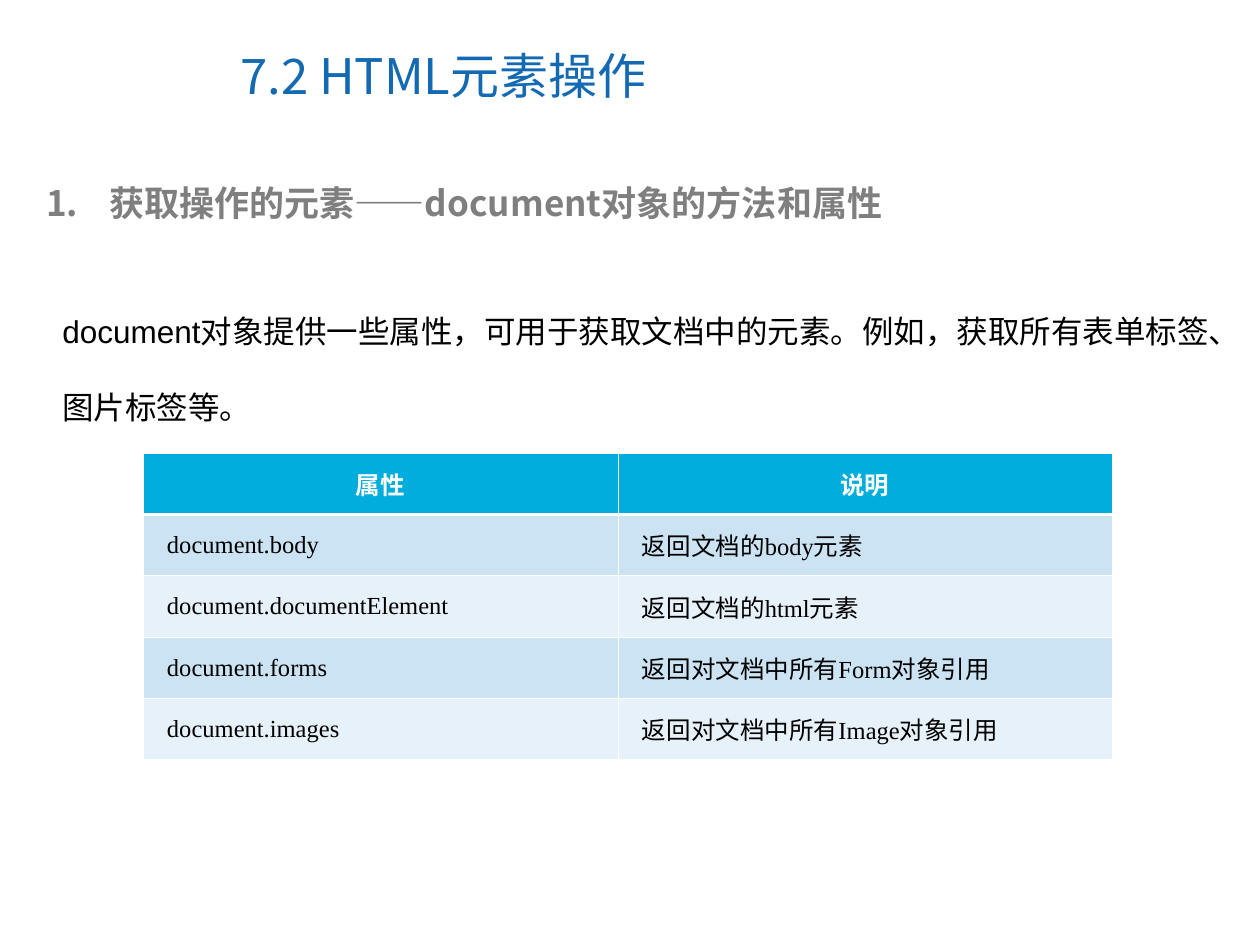
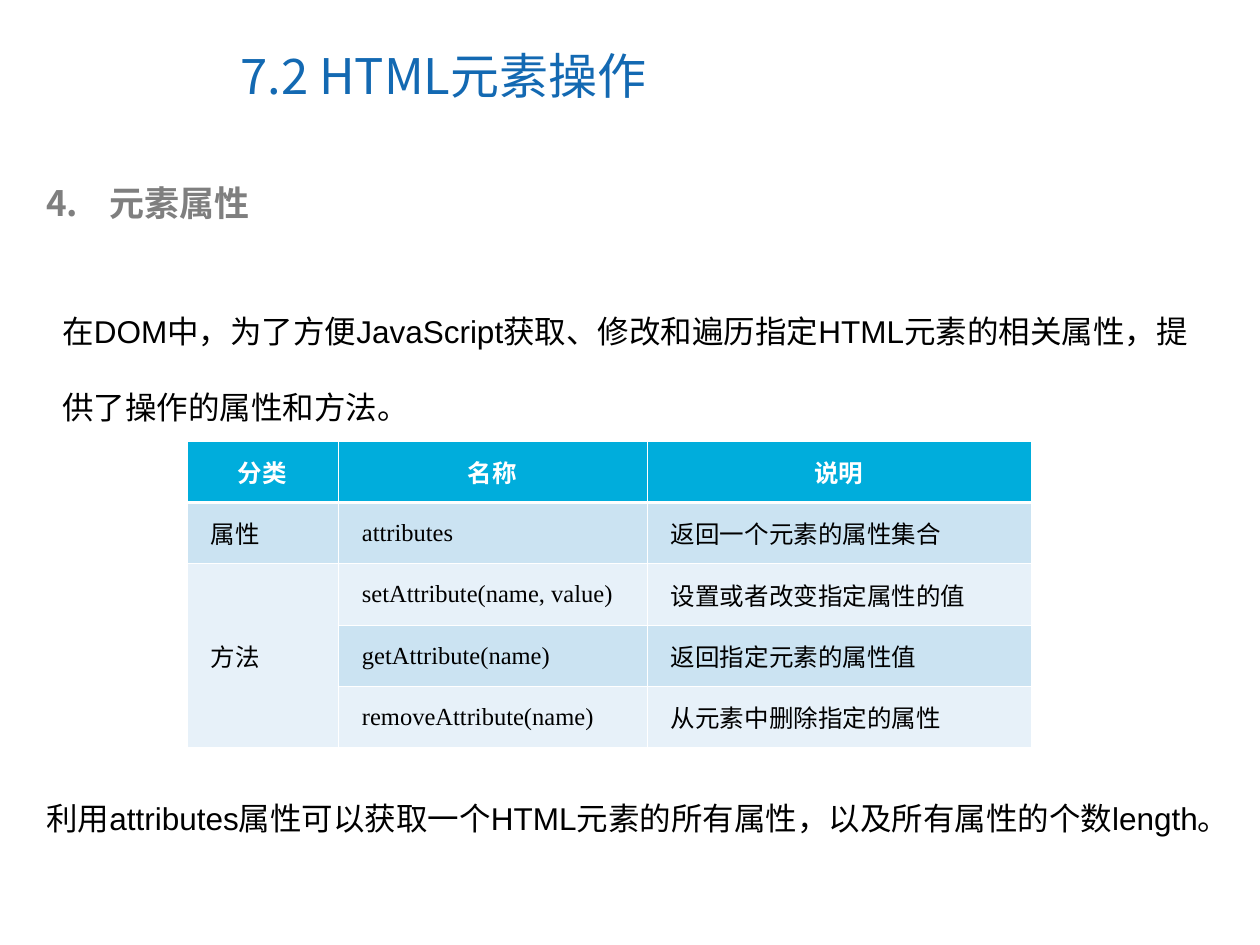
from lxml.etree import SubElement
from pptx import Presentation
from pptx.dml.color import RGBColor
from pptx.enum.text import MSO_ANCHOR as Anchor, PP_ALIGN as Align
from pptx.oxml import parse_xml
from pptx.oxml.ns import nsdecls, qn
from pptx.util import Emu, Pt

COLORS = {
    "title": "1369B2",
    "heading": "7F7F7F",
    "text": "000000",
    "white": "FFFFFF",
    "header": "00ADDC",
    "odd": "CBE3F2",
    "even": "E7F1F9",
}
CJK = "Noto Sans CJK SC"
FORMATS = {
    "title": {"size": Pt(28), "name": CJK, "bold": False},
    "heading": {"size": Pt(20), "name": CJK, "bold": True},
    "text": {"size": Pt(18), "name": "Arial", "bold": False},
    "header": {"size": Pt(14), "name": "Arial", "bold": True},
    "cell": {"size": Pt(14), "name": "Times New Roman", "bold": False},
}
SECTION = "7.2 HTML元素操作"


def px(length):
    return Emu(round(length * 914400 / 126))


class Slides:
    def __init__(self):
        self.deck = Presentation()
        self.deck.slide_width = px(1260)
        self.deck.slide_height = px(945)
        self.page = None

    def add_span(self, para, text, style, color):
        span = para.add_run()
        span.text = text
        for name, value in FORMATS[style].items():
            setattr(span.font, name, value)
        span.font.color.rgb = RGBColor.from_string(COLORS[color])
        SubElement(span.font._element, qn("a:ea"), typeface=CJK)

    def text(self, box, content, style="text", spacing=1.0, anchor=Anchor.TOP):
        frame = self.page.shapes.add_textbox(*map(px, box)).text_frame
        frame.word_wrap = True
        frame.vertical_anchor = anchor
        para = frame.paragraphs[0]
        para.line_spacing = spacing
        self.add_span(para, content, style, style)
        return para

    def start(self, number, heading):
        self.page = self.deck.slides.add_slide(self.deck.slide_layouts[6])
        self.text((228, 21, 650, 107), SECTION, "title", anchor=Anchor.MIDDLE)
        para = self.text((34, 175, 1162, 55), heading, "heading")
        props = para._p.get_or_add_pPr()
        props.set("marL", str(px(63)))
        props.set("indent", str(px(-63)))
        color = SubElement(props, qn("a:buClr"))
        SubElement(color, qn("a:srgbClr"), val=COLORS["heading"])
        SubElement(props, qn("a:buFont"), typeface=CJK)
        SubElement(props, qn("a:buAutoNum"), type="arabicPeriod", startAt=str(number))

    def borders(self, cell, row):
        props = cell._tc.get_or_add_tcPr()
        thick = {"T": row == 1, "B": row == 0}
        for index, side in enumerate("LRTB"):
            width = Pt(1.47 if thick.get(side) else 0.45)
            props.insert(index, parse_xml(
                f'<a:ln{side} {nsdecls("a")} w="{width}"><a:solidFill>'
                f'<a:srgbClr val="{COLORS["white"]}"/></a:solidFill></a:ln{side}>'))

    def cell(self, cell, row, content):
        is_header = row == 0
        fill = "header" if is_header else "odd" if row % 2 else "even"
        cell.fill.solid()
        cell.fill.fore_color.rgb = RGBColor.from_string(COLORS[fill])
        layout = {
            "vertical_anchor": Anchor.MIDDLE,
            "margin_left": px(9),
            "margin_right": px(9),
            "margin_top": px(6),
            "margin_bottom": px(6),
        }
        for name, value in layout.items():
            setattr(cell, name, value)
        self.borders(cell, row)
        para = cell.text_frame.paragraphs[0]
        para.alignment = Align.CENTER if is_header else Align.JUSTIFY
        if content:
            if not is_header:
                para._p.get_or_add_pPr().set("marL", str(px(15)))
            style, color = ("header", "white") if is_header else ("cell", "text")
            self.add_span(para, content, style, color)

    def table(self, left, top, widths, rows):
        area = map(px, (left, top, sum(widths), 307))
        table = self.page.shapes.add_table(len(rows), len(widths), *area).table
        table.horz_banding = False
        for column, width in zip(table.columns, widths):
            column.width = px(width)
        for row, contents in enumerate(rows):
            for column, content in enumerate(contents):
                self.cell(table.cell(row, column), row, content)
        return table


def main():
    slides = Slides()

    slides.start(1, "获取操作的元素——document对象的方法和属性")
    slides.text((50, 268, 1210, 164),
                "document对象提供一些属性，可用于获取文档中的元素。例如，获取所有表单标签、图片标签等。",
                spacing=2.0)
    slides.table(143, 453, (475, 494), [
        ("属性", "说明"),
        ("document.body", "返回文档的body元素"),
        ("document.documentElement", "返回文档的html元素"),
        ("document.forms", "返回对文档中所有Form对象引用"),
        ("document.images", "返回对文档中所有Image对象引用"),
    ])

    slides.start(4, "元素属性")
    slides.text((50, 268, 1158, 164),
                "在DOM中，为了方便JavaScript获取、修改和遍历指定HTML元素的相关属性，提供了操作的属性和方法。",
                spacing=2.0)
    members = slides.table(187, 441, (151, 309, 384), [
        ("分类", "名称", "说明"),
        ("属性", "attributes", "返回一个元素的属性集合"),
        ("方法", "setAttribute(name, value)", "设置或者改变指定属性的值"),
        ("", "getAttribute(name)", "返回指定元素的属性值"),
        ("", "removeAttribute(name)", "从元素中删除指定的属性"),
    ])
    members.cell(2, 0).merge(members.cell(4, 0))
    slides.text((34, 793, 1210, 88),
                "利用attributes属性可以获取一个HTML元素的所有属性，以及所有属性的个数length。")

    slides.deck.save("out.pptx")


if __name__ == "__main__":
    main()
